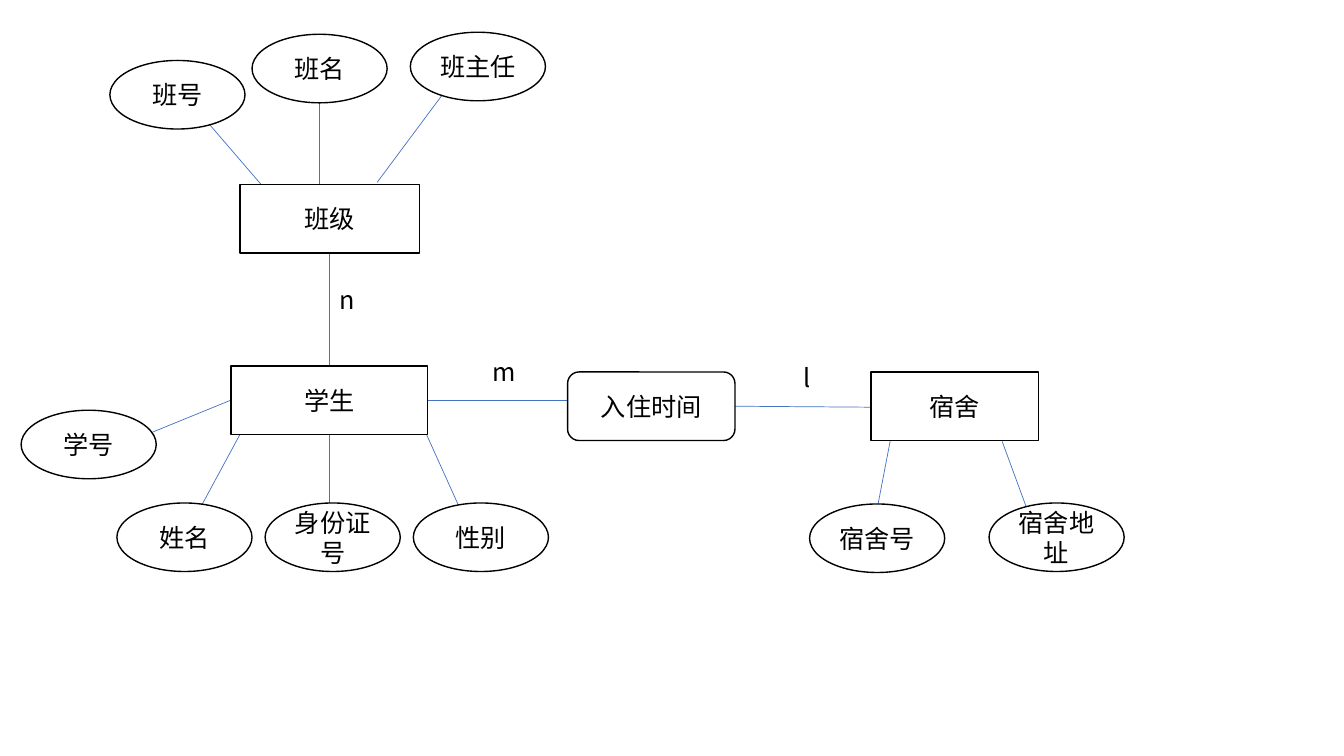
from pptx import Presentation
from pptx.dml.color import RGBColor
from pptx.enum.shapes import MSO_CONNECTOR, MSO_SHAPE
from pptx.enum.text import MSO_ANCHOR, MSO_AUTO_SIZE, PP_ALIGN
from pptx.oxml.ns import qn
from pptx.util import Pt
from lxml import etree

PX = 9144
BLACK = RGBColor(0x00, 0x00, 0x00)
WHITE = RGBColor(0xFF, 0xFF, 0xFF)
BLUE = RGBColor(0x44, 0x72, 0xC4)
FONT = "Noto Sans CJK SC"
TEXT = {"size": Pt(18), "name": FONT}
RECT, ROUND, OVAL = MSO_SHAPE.RECTANGLE, MSO_SHAPE.ROUNDED_RECTANGLE, MSO_SHAPE.OVAL
STRAIGHT = MSO_CONNECTOR.STRAIGHT
MIDDLE, CENTER = MSO_ANCHOR.MIDDLE, PP_ALIGN.CENTER
GROW = MSO_AUTO_SIZE.SHAPE_TO_FIT_TEXT
OVAL_W, BOX_H = 134, 68

CLASS = (238, 183, 178, BOX_H)
STUDENT = (229, 363, 195, BOX_H)
STAY = (563, 369, 166, BOX_H)
DORM = (864, 369, 166, BOX_H)

CLASS_ATTRS = [
    ("班号", (-129, -123), (21, 0), (-47, -79)),
    ("班名", (12, -149), (79, 0), (79, -89)),
    ("班主任", (169, -151), (136, -2), (203, -92)),
]
STUDENT_ATTRS = [
    ("学号", (-208, 44), (0, 34), (-120, 83)),
    ("姓名", (-113, 136), (9, 68), (-38, 155)),
    ("身份证号", (34, 136), (98, 68), (98, 150)),
    ("性别", (181, 136), (194, 68), (231, 150)),
]
DORM_ATTRS = [
    ("宿舍号", (-61, 131), (19, 68), (0, 167)),
    ("宿舍地址", (117, 130), (130, 69), (166, 167)),
]
LINKS = [
    ((327, 251), (327, 363)),
    ((424, 397), (571, 397)),
    ((729, 403), (866, 404)),
]
LABELS = [
    ("n", (330, 274, 50, 56)),
    ("m", (478, 349, 50, 49)),
    ("l", (776, 365, 50, 28)),
]


def emu(values):
    return [v * PX for v in values]


def add_text(tf, text):
    tf.word_wrap = True
    p = tf.paragraphs[0]
    r = p.add_run()
    r.text = text
    for key, value in TEXT.items():
        setattr(r.font, key, value)
    r.font.color.rgb = BLACK
    etree.SubElement(r.font._element, qn("a:ea")).set("typeface", FONT)
    return p


def add_line(slide, start, end):
    line = slide.shapes.add_connector(STRAIGHT, *emu(start), *emu(end))
    line.line.color.rgb = BLUE
    line.line.width = Pt(0.5)
    etree.SubElement(line._element.spPr, qn("a:effectLst"))


def add_node(slide, kind, box, text):
    sp = slide.shapes.add_shape(kind, *emu(box))
    sp.shadow.inherit = False
    sp.fill.solid()
    sp.fill.fore_color.rgb = WHITE
    sp.line.color.rgb = BLACK
    sp.line.width = Pt(1)
    sp.text_frame.vertical_anchor = MIDDLE
    add_text(sp.text_frame, text).alignment = CENTER


def add_label(slide, box, text):
    sp = slide.shapes.add_textbox(*emu(box))
    sp.rotation = 270
    tf = sp.text_frame
    add_text(tf, text)
    tf.auto_size = GROW
    tf._txBody.bodyPr.set("vert", "eaVert")


def add_entity(slide, box, text, attrs):
    x, y = box[:2]
    for _, _, (x1, y1), (x2, y2) in attrs:
        add_line(slide, (x + x1, y + y1), (x + x2, y + y2))
    add_node(slide, RECT, box, text)
    for name, (dx, dy), _, _ in attrs:
        add_node(slide, OVAL, (x + dx, y + dy, OVAL_W, BOX_H), name)


def add_relations(slide):
    for start, end in LINKS:
        add_line(slide, start, end)
    add_node(slide, ROUND, STAY, "入住时间")
    for text, box in LABELS:
        add_label(slide, box, text)


def main():
    prs = Presentation()
    prs.slide_width, prs.slide_height = emu((1333, 750))
    slide = prs.slides.add_slide(prs.slide_layouts[6])
    add_relations(slide)
    add_entity(slide, CLASS, "班级", CLASS_ATTRS)
    add_entity(slide, STUDENT, "学生", STUDENT_ATTRS)
    add_entity(slide, DORM, "宿舍", DORM_ATTRS)
    prs.save("out.pptx")


if __name__ == "__main__":
    main()
